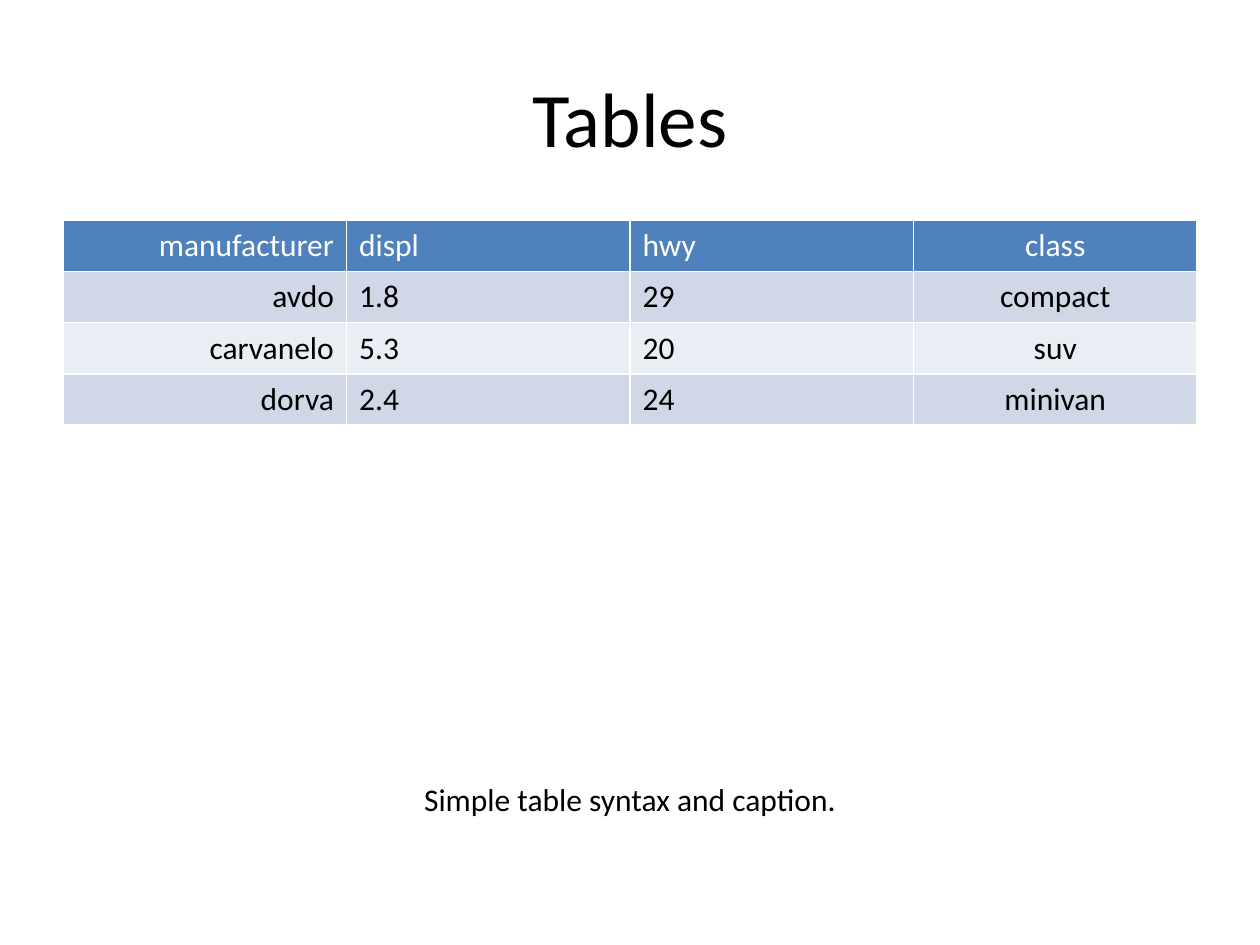
from pptx import Presentation
from pptx.dml.color import RGBColor
from pptx.enum.text import MSO_ANCHOR, PP_ALIGN
from pptx.util import Pt

LEFT, CENTER, RIGHT = PP_ALIGN.LEFT, PP_ALIGN.CENTER, PP_ALIGN.RIGHT
TOP, MIDDLE = MSO_ANCHOR.TOP, MSO_ANCHOR.MIDDLE
TITLE_ONLY = 5


def color(value):
    return RGBColor.from_string(value)


class Deck:
    """Holds the style and the current slide, and adds elements to it."""

    font = "Calibri"
    ink, paper, accent = "000000", "FFFFFF", "4F81BD"
    bands = ("D0D8E8", "E9EDF4")

    def __init__(self, width, height):
        self.prs = Presentation()
        self.prs.slide_width, self.prs.slide_height = Pt(width), Pt(height)
        self.s = self.prs.slides.add_slide(self.prs.slide_layouts[TITLE_ONLY])

    def add_text(self, tf, text, size, align, ink):
        p = tf.paragraphs[0]
        p.alignment = align
        r = p.add_run()
        r.text = text
        r.font.name, r.font.size, r.font.bold = self.font, Pt(size), False
        r.font.color.rgb = color(ink)

    def title(self, text, x, y, w, h):
        sp = self.s.shapes.title
        sp.left, sp.top, sp.width, sp.height = Pt(x), Pt(y), Pt(w), Pt(h)
        sp.text_frame.vertical_anchor = MIDDLE
        self.add_text(sp.text_frame, text, 44, CENTER, self.ink)

    def table(self, rows, aligns, x, y, w, row_h):
        table = self.s.shapes.add_table(
            len(rows), len(aligns), Pt(x), Pt(y), Pt(w), Pt(row_h * len(rows))
        ).table
        for i, row in enumerate(rows):
            fill = self.bands[(i - 1) % 2] if i else self.accent
            ink = self.ink if i else self.paper
            for j, (text, align) in enumerate(zip(row, aligns)):
                cell = table.cell(i, j)
                cell.fill.solid()
                cell.fill.fore_color.rgb = color(fill)
                self.add_text(cell.text_frame, text, 18, align, ink)

    def caption(self, text, x, y, w, h):
        tf = self.s.shapes.add_textbox(Pt(x), Pt(y), Pt(w), Pt(h)).text_frame
        tf.word_wrap = True
        tf.vertical_anchor = TOP
        self.add_text(tf, text, 18, CENTER, self.ink)


def main():
    deck = Deck(720, 540)
    left, width = 36, 648
    deck.title("Tables", left, 21.6, width, 90)
    rows = [
        ("manufacturer", "displ", "hwy", "class"),
        ("avdo", "1.8", "29", "compact"),
        ("carvanelo", "5.3", "20", "suv"),
        ("dorva", "2.4", "24", "minivan"),
    ]
    deck.table(rows, (RIGHT, LEFT, LEFT, CENTER), left, 126, width, 29)
    deck.caption("Simple table syntax and caption.", left, 442, width, 40)
    deck.prs.save("out.pptx")


if __name__ == "__main__":
    main()
